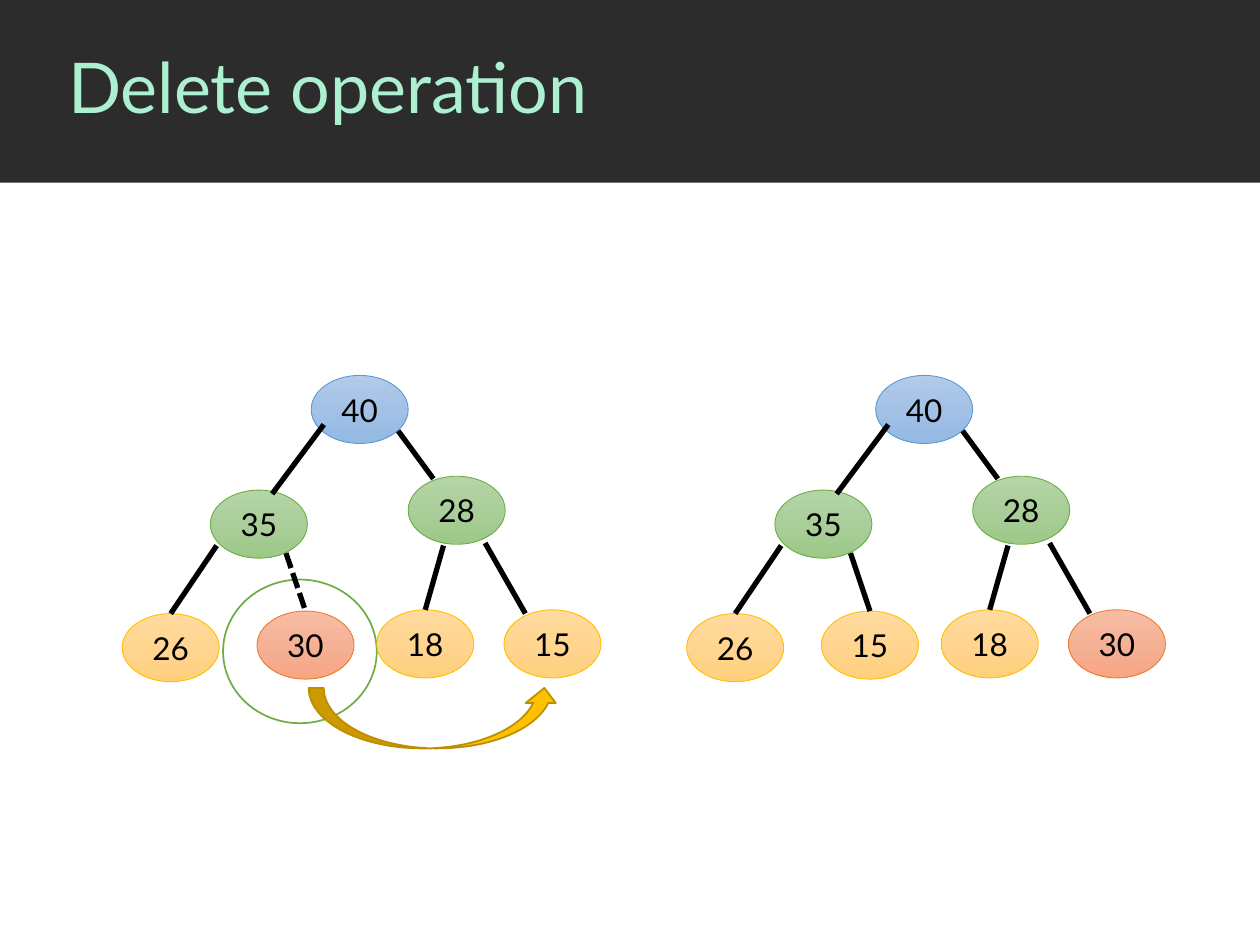
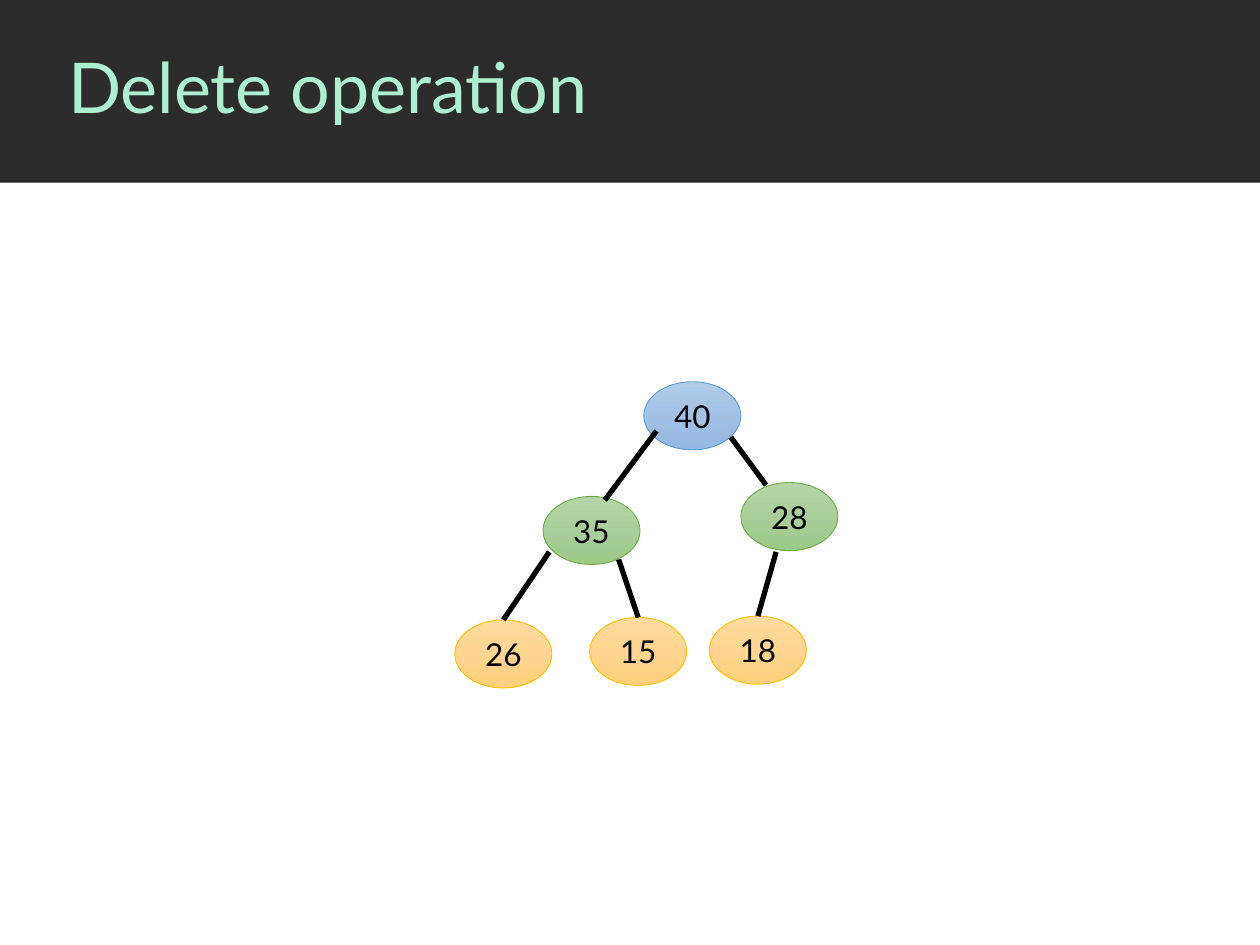
from copy import deepcopy
from dataclasses import dataclass

from pptx import Presentation
from pptx import util as u
from pptx.dml.color import RGBColor
from pptx.enum import dml, shapes, text
from pptx.oxml import ns, xmlchemy


@dataclass(frozen=True)
class Theme:
    font: str = "Lato"
    title_size: int = 40
    node_size: int = 18
    band: str = "2C2C2C"
    title: str = "ADF0D1"
    ink: str = "000000"
    paper: str = "FFFFFF"
    root: tuple = ("B1CBE9", "A3C1E5", "93B9E4", "5B9BD5")
    parent: tuple = ("B5D5A7", "AACE9A", "9CC987", "70AD47")
    leaf: tuple = ("FFDB9E", "FFD590", "FFD07C", "FFC000")
    deleted: tuple = ("F7BDA5", "F5B196", "F8A582", "ED7D31")
    ring: str = "70AD47"
    arrow: str = "FFC000"
    arrow_line: str = "BD8E00"


theme = Theme()
PX = 9144
NODE_WIDTH, NODE_HEIGHT = 77, 54
TITLE = "Delete operation"
NODE_PLACES = {
    "left parent": (70, 91),
    "root": (150, 0),
    "right parent": (227, 80),
    "leaf 1": (0, 189),
    "leaf 2": (107, 187),
    "leaf 3": (202, 186),
    "leaf 4": (303, 186),
}
EDGES = [
    ("left parent", (160, 39), (119, 94), False),
    ("right parent", (219, 44), (247, 82), False),
    ("leaf 1", (75, 135), (39, 189), True),
    ("leaf 2", (130, 141), (145, 187), True),
    ("leaf 3", (255, 135), (241, 186), True),
    ("leaf 4", (288, 133), (320, 189), False),
]


def add_shape(slide, kind, place, fill=None, line=None, line_width=1):
    shape = slide.shapes.add_shape(kind, *(length * PX for length in place))
    shape.shadow.inherit = False
    if fill:
        shape.fill.solid()
        shape.fill.fore_color.rgb = RGBColor.from_string(fill)
    if line:
        shape.line.color.rgb = RGBColor.from_string(line)
        shape.line.width = u.Pt(line_width)
    else:
        shape.line.fill.background()
    return shape


def format_text(shape, size, color, alignment):
    shape.text_frame.vertical_anchor = text.MSO_ANCHOR.MIDDLE
    paragraph = shape.text_frame.paragraphs[0]
    paragraph.alignment = alignment
    font = paragraph.runs[0].font
    font.name = theme.font
    font.size = u.Pt(size)
    font.color.rgb = RGBColor.from_string(color)
    return paragraph


presentation = Presentation()
presentation.slide_width = 1000 * PX
presentation.slide_height = 750 * PX
layout = presentation.slide_layouts[5]
slides = [presentation.slides.add_slide(layout) for _ in range(2)]

band = add_shape(slides[0], shapes.MSO_SHAPE.RECTANGLE, (0, 0, 1000, 145), theme.band)
layout.shapes.element.insert(2, band.element)

for slide in slides:
    title = slide.shapes.title
    title.left, title.top, title.width, title.height = 44 * PX, 0, 956 * PX, 144 * PX
    title.text_frame.text = TITLE
    title.text_frame.auto_size = text.MSO_AUTO_SIZE.NONE
    paragraph = format_text(title, theme.title_size, theme.title, text.PP_ALIGN.LEFT)
    paragraph.line_spacing = 0.9

add_shape(slides[0], shapes.MSO_SHAPE.OVAL, (177, 460, 122, 114), theme.paper, theme.ring)

trees = [
    (slides[0], 97, 298, (35, 40, 28, 26, 30, 18, 15), "leaf 2"),
    (slides[0], 545, 298, (35, 40, 28, 26, 15, 18, 30), None),
    (slides[1], 361, 303, (35, 40, 28, 26, 15, 18), None),
]
for slide, left, top, values, detached in trees:
    nodes = {}
    for (name, (x, y)), value in zip(NODE_PLACES.items(), values):
        if value == 30:
            palette = theme.deleted
        elif name == "root":
            palette = theme.root
        else:
            palette = theme.parent if "parent" in name else theme.leaf
        place = (left + x, top + y, NODE_WIDTH, NODE_HEIGHT)
        node = add_shape(slide, shapes.MSO_SHAPE.OVAL, place, line=palette[3], line_width=0.5)
        node.fill.gradient()
        node.fill.gradient_angle = 270
        stop_list = node.element.find(".//" + ns.qn("a:gsLst"))
        stop_list.append(deepcopy(stop_list[-1]))
        for stop, position, color in zip(node.fill.gradient_stops, (0, 0.5, 1), palette):
            stop.position = position
            stop.color.rgb = RGBColor.from_string(color)
        node.text_frame.text = str(value)
        format_text(node, theme.node_size, theme.ink, text.PP_ALIGN.CENTER)
        nodes[name] = node

    for child, start, end, joins_top in EDGES:
        if child not in nodes:
            continue
        points = [(origin + offset) * PX for point in (start, end)
                  for origin, offset in zip((left, top), point)]
        edge = slide.shapes.add_connector(shapes.MSO_CONNECTOR.STRAIGHT, *points)
        edge.line.color.rgb = RGBColor.from_string(theme.ink)
        edge.line.width = u.Pt(3)
        if child == detached:
            edge.line.dash_style = dml.MSO_LINE.SQUARE_DOT
        edge.element.spPr.append(xmlchemy.OxmlElement("a:effectLst"))
        if joins_top:
            edge.end_connect(nodes[child], 0)

add_shape(slides[0], shapes.MSO_SHAPE.CURVED_UP_ARROW, (245, 546, 199, 48),
          theme.arrow, theme.arrow_line)

presentation.save("out.pptx")
